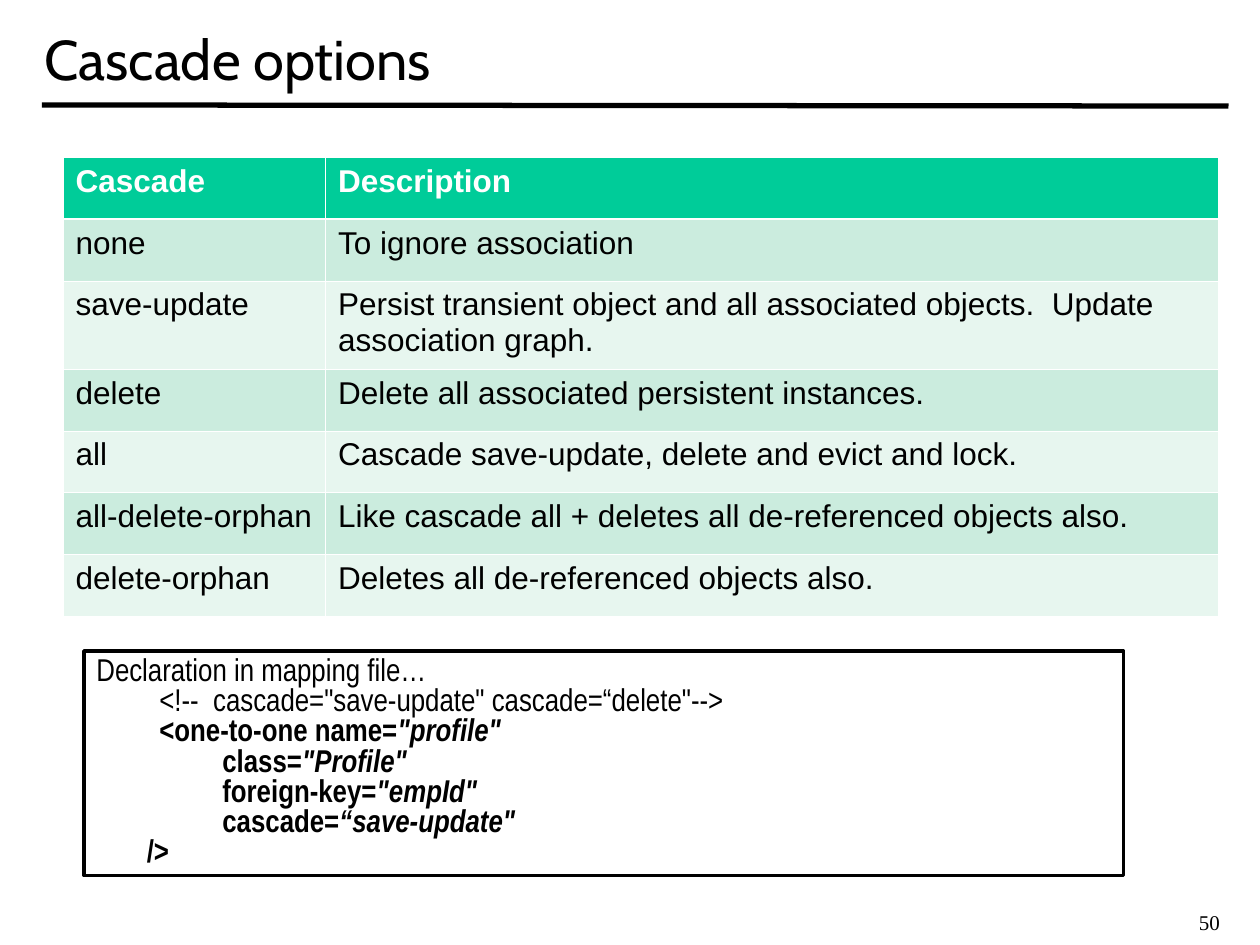
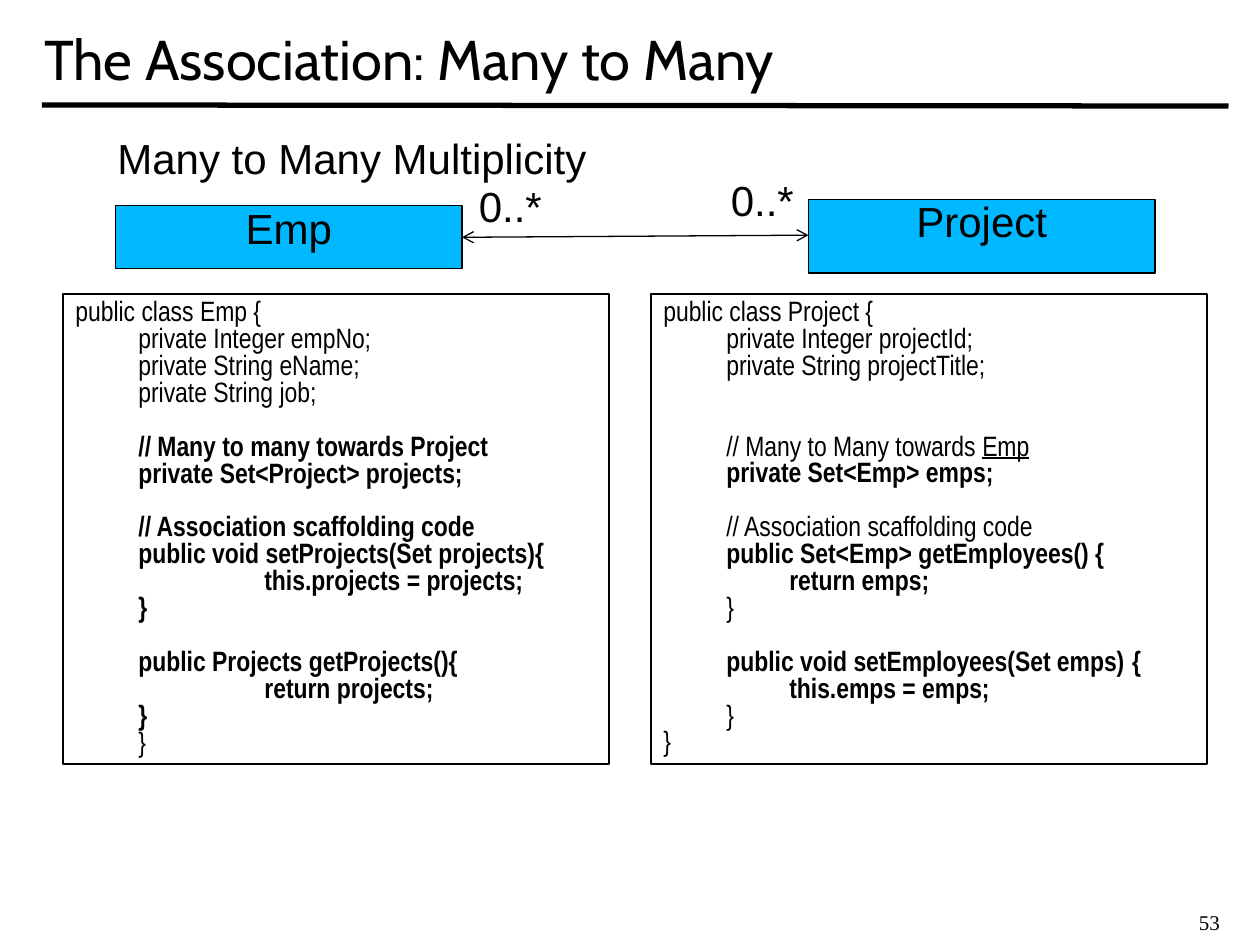
from dataclasses import dataclass

from pptx import Presentation
from pptx.dml.color import RGBColor
from pptx.enum.shapes import MSO_CONNECTOR, MSO_SHAPE
from pptx.enum.text import MSO_ANCHOR, PP_ALIGN
from pptx.oxml.ns import qn
from pptx.util import Inches, Pt
from lxml import etree

STRAIGHT, RECT = MSO_CONNECTOR.STRAIGHT, MSO_SHAPE.RECTANGLE
TOP, MIDDLE = MSO_ANCHOR.TOP, MSO_ANCHOR.MIDDLE
LEFT, CENTER = PP_ALIGN.LEFT, PP_ALIGN.CENTER
TITLE_ONLY = 5


@dataclass(frozen=True)
class Theme:
    ink: str = "000000"
    paper: str = "FFFFFF"
    header: str = "00CC99"
    bands: tuple = ("CBECDE", "E7F6EF")
    entity: str = "00B8FF"
    title: tuple = ("Cabin", 32)
    label: tuple = ("Arial", 24)
    table: tuple = ("Arial", 18)
    number: tuple = ("Times New Roman", 12)
    code: str = "Arial Narrow"
    tight: float = 0.8
    tab: float = 0.5


THEME = Theme()

# Places are (left, top, width, height) on a grid of twelfths of an inch.
GRID = 12
TITLE_AT = (3, 0, 114, 11)
RULE = (4, 10, 117, 10.1)
NUMBER_AT = (113, 86, 6.5, 3.6)

CASCADE = {
    "title": "Cascade options",
    "number": "50",
    "table_at": (6, 15),
    "columns": (25, 85),
    "row": 0.49,
    "tall_row": 0.7,
    "rows": [
        ("Cascade", "Description"),
        ("none", "To ignore association"),
        ("save-update", "Persist transient object and all associated objects.  "
                        "Update association graph."),
        ("delete", "Delete all associated persistent instances."),
        ("all", "Cascade save-update, delete and evict and lock."),
        ("all-delete-orphan", "Like cascade all + deletes all de-referenced objects also."),
        ("delete-orphan", "Deletes all de-referenced objects also."),
    ],
    "tall": 2,
    "code_at": (8, 62, 99, 21.4),
}

# A code line is (tab level, blank lines before, (text, style), ...);
# style letters: b bold, i italic, u underline.
MAPPING = [
    (0, 0, ("Declaration in mapping file…", "")),
    (1, 0, ('<!--  cascade="save-update" cascade=“delete"-->', "")),
    (1, 0, ("<one-to-one name=", "b"), ('"profile"', "bi")),
    (2, 0, ("class=", "b"), ('"Profile"', "bi")),
    (2, 0, ("foreign-key=", "b"), ('"empId"', "bi")),
    (2, 0, ("cascade=", "b"), ('“save-update"', "bi")),
    (0.8, 0, ("/>", "b")),
]
EMP_CLASS = [
    (0, 0, ("public class Emp {", "")),
    (1, 0, ("private Integer empNo;", "")),
    (1, 0, ("private String eName;", "")),
    (1, 0, ("private String job;", "")),
    (1, 1, ("// Many to many towards Project", "b")),
    (1, 0, ("private Set<Project> projects;", "b")),
    (1, 1, ("// Association scaffolding code", "b")),
    (1, 0, ("public void setProjects(Set projects){", "b")),
    (3, 0, ("this.projects = projects;", "b")),
    (1, 0, ("}", "b")),
    (1, 1, ("public Projects getProjects(){", "b")),
    (3, 0, ("return projects;", "b")),
    (1, 0, ("}", "b")),
    (1, 0, ("}", "")),
]
PROJECT_CLASS = [
    (0, 0, ("public class Project {", "")),
    (1, 0, ("private Integer projectId;", "")),
    (1, 0, ("private String projectTitle;", "")),
    (1, 2, ("// Many to Many towards ", ""), ("Emp", "u")),
    (1, 0, ("private Set<Emp> emps;", "b")),
    (1, 1, ("// Association scaffolding code", "")),
    (1, 0, ("public Set<Emp> getEmployees() {", "b")),
    (2, 0, ("return emps;", "b")),
    (1, 0, ("}", "")),
    (1, 1, ("public void setEmployees(Set emps)\t{", "b")),
    (2, 0, ("this.emps = emps;", "b")),
    (1, 0, ("}", "")),
    (0, 0, ("}", "")),
]
BRACE_TAB = 3.5

ASSOCIATION = {
    "title": "The Association: Many to Many",
    "number": "53",
    "panels": [((6, 28, 52, 44.8), EMP_CLASS), ((62, 28, 53, 44.8), PROJECT_CLASS)],
    "entities": [("Emp", (11, 19.6, 33, 6)), ("Project", (77, 19, 33, 7))],
    "link": (44, 22.6, 77, 22.4),
    "labels": [
        ("0..*", (43.1, 17.5, 11, 5), CENTER),
        ("Many to Many Multiplicity", (10, 13, 49, 5), LEFT),
        ("0..*", (67.1, 17, 11, 5), CENTER),
    ],
}


def rgb(color):
    return RGBColor.from_string(color)


def grid(place):
    return [Inches(n / GRID) for n in place]


def style_font(font, face, color=THEME.ink, **flags):
    name, size = face
    values = {"name": name, "size": Pt(size), **flags}
    for key, value in values.items():
        setattr(font, key, value)
    font.color.rgb = rgb(color)


def write(tf, text, face, align=LEFT, anchor=TOP, spacing=None):
    tf.word_wrap = True
    tf.vertical_anchor = anchor
    p = tf.paragraphs[0]
    p.alignment, p.line_spacing = align, spacing
    r = p.add_run()
    r.text = text
    style_font(r.font, face)


def add_text(slide, text, place, face, align=LEFT, spacing=None):
    write(slide.shapes.add_textbox(*grid(place)).text_frame, text, face, align,
          spacing=spacing)


def add_box(slide, place, width, fill=None):
    s = slide.shapes.add_shape(RECT, *grid(place))
    s.shadow.inherit = False
    if fill:
        s.fill.solid()
        s.fill.fore_color.rgb = rgb(fill)
    else:
        s.fill.background()
    s.line.color.rgb = rgb(THEME.ink)
    s.line.width = Pt(width)
    return s


def add_line(slide, ends, width, arrows=False):
    line = slide.shapes.add_connector(STRAIGHT, *grid(ends))
    line.line.color.rgb = rgb(THEME.ink)
    line.line.width = Pt(width)
    if arrows:
        ln = line.line._get_or_add_ln()
        for end in ("a:headEnd", "a:tailEnd"):
            etree.SubElement(ln, qn(end), type="arrow")
    etree.SubElement(line._element.spPr, qn("a:effectLst"))


def add_code(slide, place, lines, size, border):
    tf = add_box(slide, place, border).text_frame
    tf.word_wrap = True
    tf.vertical_anchor = TOP
    for i, (level, gap, *runs) in enumerate(lines):
        p = tf.add_paragraph() if i else tf.paragraphs[0]
        pPr = p._p.get_or_add_pPr()
        pPr.set("marL", str(Inches(level * THEME.tab)))
        pPr.set("indent", "0")
        p.alignment, p.line_spacing = LEFT, THEME.tight
        if gap:
            p.space_before = Pt(round(gap * size * 0.96, 1))
        if any("\t" in text for text, _ in runs):
            tabs = etree.SubElement(pPr, qn("a:tabLst"))
            etree.SubElement(tabs, qn("a:tab"), pos=str(Inches(BRACE_TAB)), algn="l")
        for text, style in runs:
            r = p.add_run()
            r.text = text
            style_font(r.font, (THEME.code, size), bold="b" in style,
                       italic="i" in style, underline="u" in style)


def border_cell(cell, widths):
    """Put white borders, given as {side: points}, ahead of the cell's fill."""
    tcPr = cell._tc.get_or_add_tcPr()
    for i, (side, width) in enumerate(widths.items()):
        ln = etree.Element(qn(f"a:ln{side}"), w=str(Pt(width)))
        fill = etree.SubElement(ln, qn("a:solidFill"))
        etree.SubElement(fill, qn("a:srgbClr"), val=THEME.paper)
        tcPr.insert(i, ln)


def add_cascade_table(slide, content):
    rows, columns = content["rows"], content["columns"]
    heights = [content["tall_row" if i == content["tall"] else "row"]
               for i in range(len(rows))]
    table = slide.shapes.add_table(
        len(rows), len(columns), *grid(content["table_at"]),
        *grid([sum(columns)]), Inches(sum(heights))).table
    for column, width in zip(table.columns, grid(columns)):
        column.width = width
    for i, (texts, height) in enumerate(zip(rows, heights)):
        table.rows[i].height = Inches(height)
        head = i == 0
        for j, text in enumerate(texts):
            cell = table.cell(i, j)
            cell.fill.solid()
            cell.fill.fore_color.rgb = rgb(THEME.header if head else THEME.bands[(i - 1) % 2])
            border_cell(cell, {"L": 0.45, "R": 0.45, "T": 1.47 if i == 1 else 0.45,
                               "B": 1.47 if head else 0.45})
            r = cell.text_frame.paragraphs[0].add_run()
            r.text = text
            style_font(r.font, THEME.table, THEME.paper if head else THEME.ink, bold=head)


def add_slide(prs, content):
    """Add a slide with the shared title, rule and page number."""
    slide = prs.slides.add_slide(prs.slide_layouts[TITLE_ONLY])
    title = slide.shapes.title
    title.left, title.top, title.width, title.height = grid(TITLE_AT)
    write(title.text_frame, content["title"], THEME.title, anchor=MIDDLE)
    add_line(slide, RULE, 3)
    add_text(slide, content["number"], NUMBER_AT, THEME.number)
    return slide


def build_cascade(prs):
    slide = add_slide(prs, CASCADE)
    add_cascade_table(slide, CASCADE)
    add_code(slide, CASCADE["code_at"], MAPPING, 18, 2)


def build_association(prs):
    slide = add_slide(prs, ASSOCIATION)
    for place, lines in ASSOCIATION["panels"]:
        add_code(slide, place, lines, 16, 1.25)
    for name, place in ASSOCIATION["entities"]:
        box = add_box(slide, place, 0.75, THEME.entity)
        write(box.text_frame, name, THEME.label, CENTER, spacing=THEME.tight)
    add_line(slide, ASSOCIATION["link"], 0.75, arrows=True)
    for text, place, align in ASSOCIATION["labels"]:
        add_text(slide, text, place, THEME.label, align, THEME.tight)


def main():
    prs = Presentation()
    prs.slide_width, prs.slide_height = Inches(10), Inches(7.5)
    build_cascade(prs)
    build_association(prs)
    prs.save("out.pptx")


if __name__ == "__main__":
    main()
